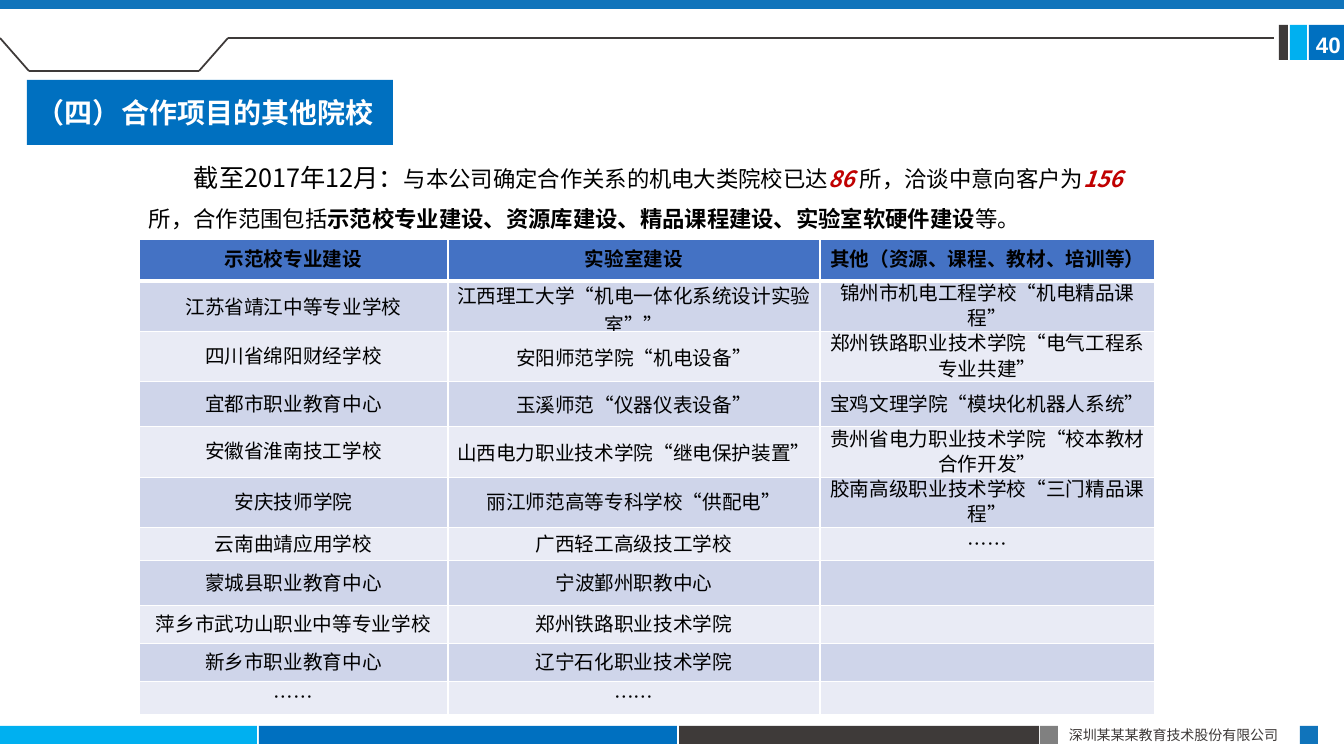
from dataclasses import dataclass
from itertools import pairwise

from lxml.etree import SubElement
from pptx import Presentation
from pptx.dml.color import RGBColor as RGB
from pptx.enum.shapes import MSO_CONNECTOR as LINK, MSO_SHAPE as KIND
from pptx.enum.text import MSO_ANCHOR as ANCHOR, PP_ALIGN as ALIGN
from pptx.oxml.ns import qn
from pptx.util import Emu, Pt

SCALE = 12192000 / 1344  # EMU in one px
WHITE = RGB(0xFF, 0xFF, 0xFF)
BLACK = RGB(0, 0, 0)
RED = RGB(0xC0, 0, 0)
BLUE = RGB(0, 0x70, 0xC0)
STEEL = RGB(0x10, 0x74, 0xBB)
SKY = RGB(0, 0xB0, 0xF0)
DARK = RGB(0x3E, 0x3A, 0x39)
GRAY = RGB(0x80, 0x80, 0x80)
HEAD = RGB(0x44, 0x72, 0xC4)
BANDS = RGB(0xCF, 0xD5, 0xEA), RGB(0xE9, 0xEB, 0xF5)
CJK = "Noto Sans CJK SC"


@dataclass
class Bar:
    left: int
    top: int
    width: int
    height: int
    color: RGB


@dataclass
class Style:
    size: int
    color: RGB = BLACK
    bold: bool = False
    italic: bool = False
    face: str = CJK


def px(count: float) -> Emu:
    return Emu(round(count * SCALE))


def paint(run, style: Style) -> None:
    font = run.font
    font.size, font.name = Pt(style.size), style.face
    font.bold, font.italic = style.bold, style.italic
    font.color.rgb = style.color
    SubElement(font._element, qn("a:ea"), typeface=CJK)


def draw_bar(slide, bar: Bar):
    shape = slide.shapes.add_shape(
        KIND.RECTANGLE, px(bar.left), px(bar.top), px(bar.width), px(bar.height))
    shape.shadow.inherit = False
    shape.fill.solid()
    shape.fill.fore_color.rgb = bar.color
    shape.line.fill.background()
    return shape


def add_text(slide, left: int, top: int, width: int, height: int,
             parts: list[tuple[str, Style]]):
    frame = slide.shapes.add_textbox(
        px(left), px(top), px(width), px(height)).text_frame
    frame.word_wrap = True
    for text, style in parts:
        run = frame.paragraphs[0].add_run()
        run.text = text
        paint(run, style)
    return frame


def draw_line(slide, start: tuple[int, int], end: tuple[int, int]) -> None:
    line = slide.shapes.add_connector(
        LINK.STRAIGHT, px(start[0]), px(start[1]), px(end[0]), px(end[1]))
    line.line.color.rgb = DARK
    line.line.width = Pt(1.25)
    SubElement(line._element.spPr, qn("a:effectLst"))


def edge_cell(cell, under: int) -> None:
    props = cell._tc.get_or_add_tcPr()
    for spot, (side, width) in enumerate(
            {"lnL": 1, "lnR": 1, "lnT": 1, "lnB": under}.items()):
        edge = SubElement(props, qn(f"a:{side}"), w=str(Pt(width)))
        fill = SubElement(edge, qn("a:solidFill"))
        SubElement(fill, qn("a:srgbClr"), val=str(WHITE))
        props.insert(spot, edge)


def fill_cell(cell, text: str, color: RGB, head: bool, loose: bool) -> None:
    cell.fill.solid()
    cell.fill.fore_color.rgb = color
    cell.vertical_anchor = ANCHOR.MIDDLE
    cell.margin_left = cell.margin_right = px(7)
    cell.margin_top = cell.margin_bottom = 0
    edge_cell(cell, 3 if head else 1)
    if not text:
        return
    cell.text_frame.text = text
    para = cell.text_frame.paragraphs[0]
    para.alignment = ALIGN.CENTER
    if not loose:
        para.line_spacing = Pt(18)
    paint(para.runs[0], Style(14, bold=head))


# Footer, page mark and top band
BARS = [
    Bar(0, 726, 257, 18, SKY), Bar(259, 726, 418, 18, BLUE),
    Bar(679, 726, 360, 18, DARK), Bar(1040, 726, 18, 18, GRAY),
    Bar(1300, 726, 18, 18, STEEL), Bar(1309, 25, 35, 35, BLUE),
    Bar(1290, 25, 17, 35, SKY), Bar(1279, 25, 9, 35, DARK),
    Bar(0, 0, 1344, 9, STEEL),
]
TRACK = [(0, 38), (29, 71), (199, 71), (228, 38), (1274, 38)]

# Schools by kind of project
COLS = [309, 372, 335]
ROWS = [42, 38, 38, 45, 38, 45, 33, 45, 38, 38, 33]
SCHOOLS = [
    ("示范校专业建设", "实验室建设", "其他（资源、课程、教材、培训等）"),
    ("江苏省靖江中等专业学校", "江西理工大学“机电一体化系统设计实验室””", "锦州市机电工程学校“机电精品课程”"),
    ("四川省绵阳财经学校", "安阳师范学院“机电设备”", "郑州铁路职业技术学院“电气工程系专业共建”"),
    ("宜都市职业教育中心", "玉溪师范“仪器仪表设备”", "宝鸡文理学院“模块化机器人系统”"),
    ("安徽省淮南技工学校", "山西电力职业技术学院“继电保护装置”", "贵州省电力职业技术学院“校本教材合作开发”"),
    ("安庆技师学院", "丽江师范高等专科学校“供配电”", "胶南高级职业技术学校“三门精品课程”"),
    ("云南曲靖应用学校", "广西轻工高级技工学校", "……"),
    ("蒙城县职业教育中心", "宁波鄞州职教中心", ""),
    ("萍乡市武功山职业中等专业学校", "郑州铁路职业技术学院", ""),
    ("新乡市职业教育中心", "辽宁石化职业技术学院", ""),
    ("……", "……", ""),
]
LOOSE = {(1, 0), (1, 1), (2, 1), (3, 1), (4, 1)}  # natural line spacing


def draw_table(slide) -> None:
    table = slide.shapes.add_table(
        len(ROWS), len(COLS), px(139), px(239), px(sum(COLS)), px(sum(ROWS))).table
    for col, width in zip(table.columns, COLS):
        col.width = px(width)
    for row, height in zip(table.rows, ROWS):
        row.height = px(height)
    for r, names in enumerate(SCHOOLS):
        color = BANDS[(r - 1) % 2] if r else HEAD
        for c, name in enumerate(names):
            fill_cell(table.cell(r, c), name, color, r == 0, (r, c) in LOOSE)


def main() -> None:
    deck = Presentation()
    deck.slide_width, deck.slide_height = px(1344), px(756)
    slide = deck.slides.add_slide(deck.slide_layouts[6])

    for bar in BARS:
        draw_bar(slide, bar)
    add_text(slide, 1059, 722, 242, 27,
             [("深圳某某某教育技术股份有限公司", Style(10, DARK))])
    page = add_text(slide, 1306, 26, 38, 37,
                    [("40", Style(16, WHITE, True, face="Arial"))])
    page.margin_right = 0

    # Summary
    plain, strong = Style(16), Style(16, bold=True)
    count = Style(16, RED, True, True)
    intro = add_text(slide, 139, 115, 1017, 149, [
        ("截至2017年12月：", Style(18)),
        ("与本公司确定合作关系的机电大类院校已达", plain),
        ("86 ", count), ("所，洽谈中意向客户为", plain),
        ("156 ", count), ("所，合作范围包括", plain),
        ("示范校专业建设、资源库建设、精品课程建设、实验室软硬件建设", strong),
        ("等。", plain)])
    intro.vertical_anchor = ANCHOR.MIDDLE
    para = intro.paragraphs[0]
    para.line_spacing = 1.5
    para._p.get_or_add_pPr().set("indent", str(px(45)))

    draw_table(slide)
    for start, end in pairwise(TRACK):
        draw_line(slide, start, end)

    # Section title
    title = draw_bar(slide, Bar(27, 80, 366, 65, BLUE)).text_frame
    title.text = "（四）合作项目的其他院校"
    title.vertical_anchor = ANCHOR.MIDDLE
    title.paragraphs[0].alignment = ALIGN.LEFT
    paint(title.paragraphs[0].runs[0], Style(20, WHITE, True, face="Calibri"))

    deck.save("out.pptx")


if __name__ == "__main__":
    main()
